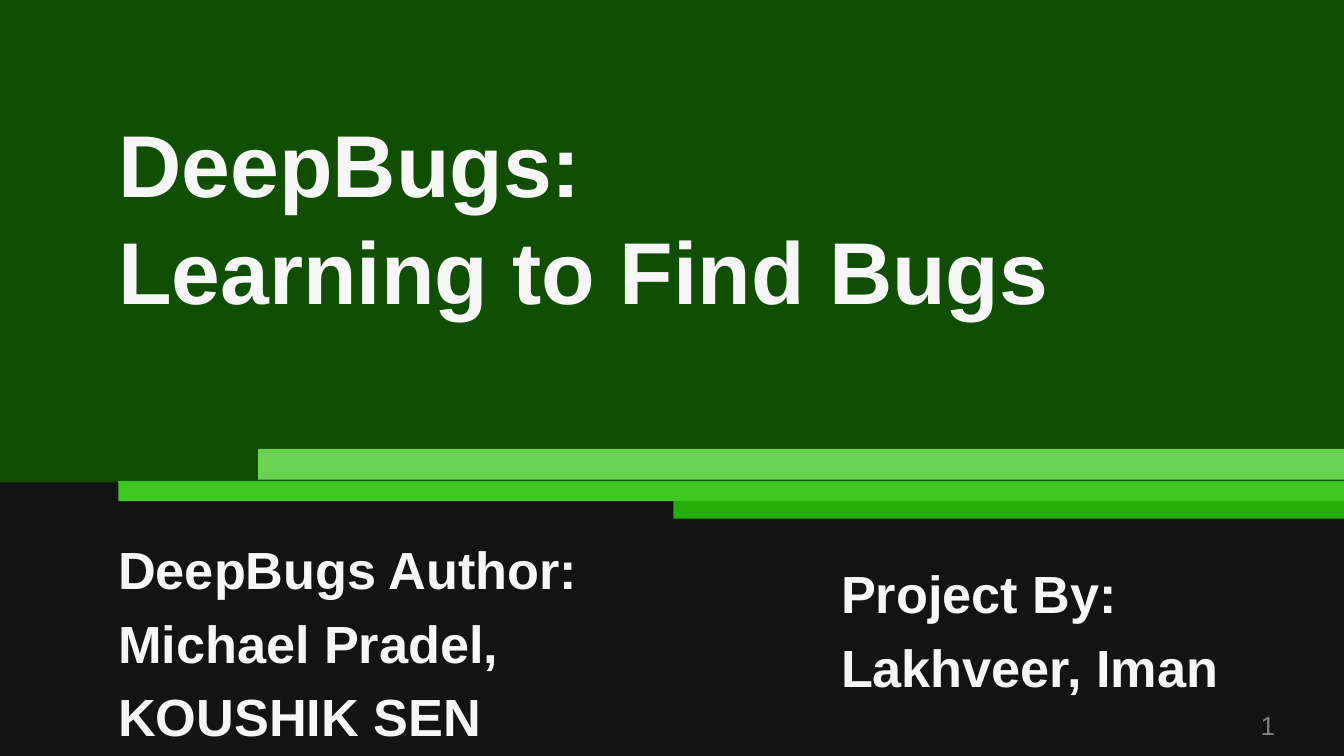
"""Build the DeepBugs opening slide."""
import dataclasses

import pptx
import pptx.dml.color
import pptx.enum.shapes
import pptx.enum.text
import pptx.util

Inches = pptx.util.Inches


@dataclasses.dataclass(frozen=True)
class Theme:
    """Colours, font and type sizes of the slide."""
    font: str = "Arial"
    backdrop: str = "212121"
    footer: str = "131313"
    header: str = "104E04"
    bright: str = "3CC821"
    light: str = "68D452"
    deep: str = "23AF08"
    text: str = "F7F7F7"
    muted: str = "7F7F7F"
    title_size: int = 47
    credit_size: int = 28
    number_size: int = 14


THEME = Theme()
WIDTH = 10
HEIGHT = WIDTH * 9 / 16


def rgb(colour):
    """Return the colour object for a hex string."""
    return pptx.dml.color.RGBColor.from_string(colour)


def add_band(slide, left, top, height, colour):
    """Draw a plain band that runs to the right edge of the slide."""
    band = slide.shapes.add_shape(
        pptx.enum.shapes.MSO_SHAPE.RECTANGLE, Inches(left), Inches(top),
        Inches(WIDTH - left), Inches(height))
    band.shadow.inherit = False
    band.fill.solid()
    band.fill.fore_color.rgb = rgb(colour)
    band.line.fill.background()


def place_placeholder(slide, index, left, top, width, height):
    """Bring a template placeholder in front of the bands and move it."""
    holder = slide.placeholders[index]
    slide.shapes.element.append(holder.element)
    holder.left, holder.top = Inches(left), Inches(top)
    holder.width, holder.height = Inches(width), Inches(height)
    return holder


def add_text_box(slide, *box):
    """Add an empty text box."""
    return slide.shapes.add_textbox(*(Inches(length) for length in box))


def write(holder, lines, size, colour=THEME.text, bold=True,
          spacing=1.0, side=0.01, top=0.01, bottom=0):
    """Write the lines as left-aligned paragraphs in a text holder."""
    frame = holder.text_frame
    frame.word_wrap = True
    frame.auto_size = pptx.enum.text.MSO_AUTO_SIZE.NONE
    frame.vertical_anchor = pptx.enum.text.MSO_ANCHOR.TOP
    frame.margin_left = frame.margin_right = Inches(side)
    frame.margin_top, frame.margin_bottom = Inches(top), Inches(bottom)
    for position, line in enumerate(lines):
        paragraph = frame.add_paragraph() if position else frame.paragraphs[0]
        paragraph.alignment = pptx.enum.text.PP_ALIGN.LEFT
        paragraph.line_spacing = spacing
        paragraph.space_before = pptx.util.Pt(0)
        run = paragraph.add_run()
        run.text = line
        run.font.name = THEME.font
        run.font.size = pptx.util.Pt(size)
        run.font.bold = bold
        run.font.color.rgb = rgb(colour)


def main():
    """Build and save the slide."""
    deck = pptx.Presentation()
    deck.slide_width, deck.slide_height = Inches(WIDTH), Inches(HEIGHT)
    slide = deck.slides.add_slide(deck.slide_layouts[0])
    slide.background.fill.solid()
    slide.background.fill.fore_color.rgb = rgb(THEME.backdrop)

    for band in (
        (0, 3.59, HEIGHT - 3.59, THEME.footer),
        (0, 0, 3.59, THEME.header),
        (0.88, 3.58, 0.15, THEME.bright),
        (1.92, 3.34, 0.23, THEME.light),
        (5.01, 3.73, 0.13, THEME.deep),
    ):
        add_band(slide, *band)

    title = place_placeholder(slide, 0, 0.87, 0.8, 3.84, 0.67)
    write(title, ["DeepBugs:"], THEME.title_size, top=0.02)
    tagline = add_text_box(slide, 0.87, 1.59, 7.7, 0.67)
    write(tagline, ["Learning to Find Bugs"], THEME.title_size, top=0.02)

    authors = place_placeholder(slide, 1, 0.87, 3.91, 4.44, 1.38)
    write(authors, ["DeepBugs Author: Michael Pradel, KOUSHIK SEN"],
          THEME.credit_size, spacing=1.17)
    presenters = add_text_box(slide, 6.16, 4, 3.84, 1.62)
    write(presenters, ["Project By:", "Lakhveer, Iman"], THEME.credit_size,
          spacing=1.17, side=0.1, top=0.1, bottom=0.1)

    number = add_text_box(slide, 9.37, 5.27, 0.14, 0.21)
    write(number, ["1"], THEME.number_size, THEME.muted, bold=False)

    deck.save("out.pptx")


main()
